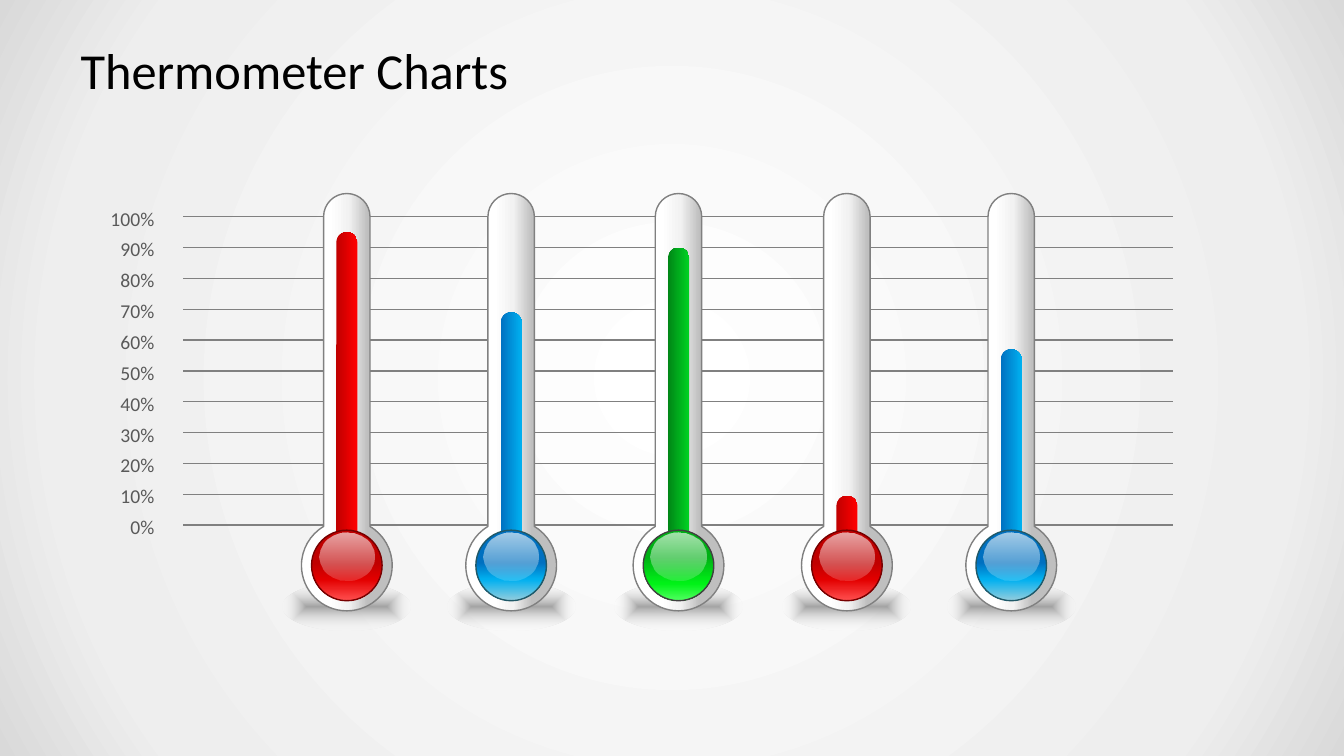
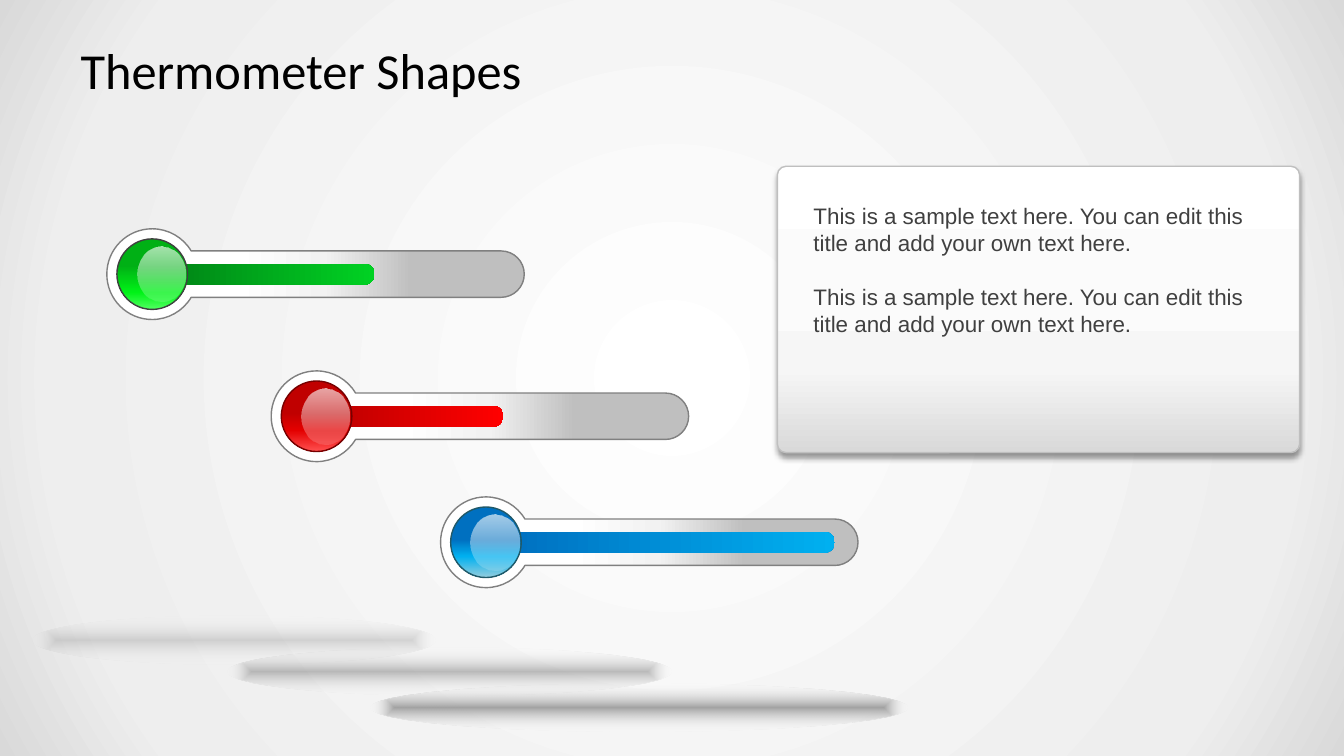
import itertools
import math

from lxml import etree
from pptx import Presentation, util as u
from pptx.dml.color import RGBColor
from pptx.enum import shapes as kinds, text
from pptx.oxml.ns import qn

Inches = u.Inches

COLOURS = {
    "white": "FFFFFF", "mist": "EEEEEE", "silver": "D9D9D9",
    "snow": "FBFBFB", "pearl": "F6F6F6", "glass": "F2F2F2",
    "edge": "BFBFBF", "grey": "808080", "black": "000000",
    "label": "595959", "body": "404040",
    "red dark": "C00000", "red": "FF0000", "red mid": "E30000",
    "red light": "FF4F4F", "red rim": "760000",
    "green dark": "008616", "green": "00D223", "green deep": "00B015",
    "green mid": "00F217", "green light": "4FFF60",
    "blue dark": "0070C0", "blue": "00B0F0", "blue light": "93CDDD",
    "blue rim": "215968",
}

# Gradient stops: position in percent, colour, opacity in percent
PAGE = [(0, "white", 100), (81, "mist", 100), (100, "silver", 100)]
CARD = [(0, "white", 100), (44, "snow", 100), (71, "pearl", 100), (100, "silver", 100)]
GLASS = [(31, "white", 100), (52, "glass", 100), (73, "edge", 100)]
GLOSS = [(0, "white", 65), (100, "white", 15)]

LIQUIDS = {
    "red": {
        "bar": [(0, "red dark", 100), (100, "red", 100)],
        "bulb": [(46, "red dark", 100), (70, "red mid", 100), (100, "red light", 100)],
        "rim": "red rim",
    },
    "green": {
        "bar": [(0, "green dark", 100), (100, "green", 100)],
        "bulb": [(38, "green deep", 100), (76, "green mid", 100), (100, "green light", 100)],
        "rim": "body",
    },
    "blue": {
        "bar": [(0, "blue dark", 100), (100, "blue", 100)],
        "bulb": [(46, "blue dark", 100), (70, "blue", 100), (100, "blue light", 100)],
        "rim": "blue rim",
    },
}


def paint_gradient(fill, element, stops, direction):
    """Fill with stops; direction is an angle in degrees or the name of a radial form."""
    fill.gradient()
    gradient = next(element.iter(qn("a:gradFill")))
    for child in list(gradient):
        gradient.remove(child)
    stop_list = etree.SubElement(gradient, qn("a:gsLst"))
    for position, colour, opacity in stops:
        stop = etree.SubElement(stop_list, qn("a:gs"), pos=str(position * 1000))
        tint = etree.SubElement(stop, qn("a:srgbClr"), val=COLOURS[colour])
        if opacity < 100:
            etree.SubElement(tint, qn("a:alpha"), val=str(opacity * 1000))
    if isinstance(direction, str):
        radial = etree.SubElement(gradient, qn("a:path"), path=direction)
        etree.SubElement(radial, qn("a:fillToRect"), l="50000", t="50000", r="50000", b="50000")
    else:
        etree.SubElement(gradient, qn("a:lin"), ang=str(direction * 60000), scaled="0")


def add_gradient_shape(shapes, kind, centre, size, stops, direction, outline=None):
    (x, y), (width, height) = centre, size
    shape = shapes.add_shape(kind, Inches(x - width / 2), Inches(y - height / 2),
                             Inches(width), Inches(height))
    shape.shadow.inherit = False
    paint_gradient(shape.fill, shape.element, stops, direction)
    if outline:
        shape.line.color.rgb = RGBColor.from_string(COLOURS[outline])
        shape.line.width = u.Pt(1)
    else:
        shape.line.fill.background()
    return shape


OVAL = kinds.MSO_SHAPE.OVAL
ROUNDED = kinds.MSO_SHAPE.ROUNDED_RECTANGLE

presentation = Presentation()
presentation.slide_width = Inches(13.33)
presentation.slide_height = Inches(7.5)
master = presentation.slide_master
paint_gradient(master.background.fill, master.element, PAGE, "circle")

slides = []
for title in ["Thermometer Charts", "Thermometer Shapes"]:
    slide = presentation.slides.add_slide(presentation.slide_layouts[6])
    slides.append(slide)
    frame = slide.shapes.add_textbox(Inches(0.67), Inches(0.3), Inches(12), Inches(0.78)).text_frame
    frame.word_wrap = True
    frame.vertical_anchor = text.MSO_ANCHOR.MIDDLE
    frame.margin_left = frame.margin_right = Inches(0.13)
    frame.margin_top = frame.margin_bottom = Inches(0.07)
    frame.text = title
    font = frame.paragraphs[0].runs[0].font
    font.name, font.size = "Calibri", u.Pt(36)
    font.color.rgb = RGBColor.from_string(COLOURS["black"])
chart_slide, shapes_slide = slides

# Scale with grid lines, from 100% down to 0%
SCALE_TOP, SCALE_BOTTOM = 2.15, 5.21
for step in range(11):
    y = SCALE_TOP + step * (SCALE_BOTTOM - SCALE_TOP) / 10
    line = chart_slide.shapes.add_connector(
        kinds.MSO_CONNECTOR.STRAIGHT, Inches(11.63), Inches(y), Inches(1.82), Inches(y))
    line.line.color.rgb = RGBColor.from_string(COLOURS["grey"])
    line.line.width = u.Pt(1)
    etree.SubElement(line.element.spPr, qn("a:effectLst"))

    frame = chart_slide.shapes.add_textbox(
        Inches(0.99), Inches(y - 0.15), Inches(0.64), Inches(0.34)).text_frame
    frame.word_wrap = False
    frame.text = f"{100 - 10 * step}%"
    paragraph = frame.paragraphs[0]
    paragraph.alignment = text.PP_ALIGN.RIGHT
    font = paragraph.runs[0].font
    font.name, font.size = "Calibri", u.Pt(14)
    font.color.rgb = RGBColor.from_string(COLOURS["label"])

# Text card
card = add_gradient_shape(shapes_slide.shapes, ROUNDED, (10.3, 3.07), (5.18, 2.84), CARD, 90, "edge")
card.adjustments[0] = 0.03
effects = next(card.element.iter(qn("a:effectLst")))
shadow = etree.SubElement(effects, qn("a:outerShdw"), blurRad=str(u.Pt(4)), dist=str(u.Pt(3)),
                          dir="5400000", algn="t", rotWithShape="0")
shade = etree.SubElement(shadow, qn("a:srgbClr"), val=COLOURS["black"])
etree.SubElement(shade, qn("a:alpha"), val="40000")

frame = shapes_slide.shapes.add_textbox(
    Inches(7.97), Inches(1.96), Inches(4.66), Inches(2.26)).text_frame
frame.word_wrap = True
sample = "This is a sample text here. You can edit this title and add your own text here."
frame.text = "\n".join([sample] * 2)
frame.paragraphs[1].space_before = u.Pt(19)
for paragraph in frame.paragraphs:
    font = paragraph.runs[0].font
    font.name, font.size = "Arial", u.Pt(16)
    font.color.rgb = RGBColor.from_string(COLOURS["body"])

# Thermometers: slide, bulb centre, liquid, reading, upright
thermometers = [
    (chart_slide, 3.44, 5.61, "red", 0.95, True),
    (chart_slide, 5.07, 5.61, "blue", 0.69, True),
    (chart_slide, 6.73, 5.61, "green", 0.9, True),
    (chart_slide, 8.4, 5.61, "red", 0.095, True),
    (chart_slide, 10.03, 5.61, "blue", 0.57, True),
    (shapes_slide, 1.51, 2.72, "green", 0.59, False),
    (shapes_slide, 3.14, 4.13, "red", 0.475, False),
    (shapes_slide, 4.82, 5.38, "blue", 1, False),
]

# Glass outline as strokes of (along, across) offsets from the bulb centre:
# one point is a straight line, three are a curve with two control points
BULB_RADIUS, TUBE_RADIUS, TUBE_LENGTH = 0.45, 0.23, 3.46
neck = math.degrees(math.asin(TUBE_RADIUS / BULB_RADIUS))
outline = []
for radius, offset, corners in [(TUBE_RADIUS, TUBE_LENGTH, (-90, 0, 90)),
                                (BULB_RADIUS, 0, (neck, 90, 180, 270, 360 - neck))]:
    corners = [math.radians(corner) for corner in corners]
    arcs = [[(corners[0], 0)]]
    for start, end in itertools.pairwise(corners):
        pull = 4 / 3 * math.tan((end - start) / 4)
        arcs.append([(start, pull), (end, -pull), (end, 0)])
    for arc in arcs:
        outline.append([(offset + radius * (math.cos(angle) - pull * math.sin(angle)),
                         radius * (math.sin(angle) + pull * math.cos(angle)))
                        for angle, pull in arc])

BAR_START, ZERO_MARK = 0.2, 0.4
for slide, x, y, liquid, reading, upright in thermometers:
    parts = slide.shapes.add_group_shape().shapes
    look = LIQUIDS[liquid]
    if upright:
        add_gradient_shape(parts, OVAL, (x, 6.02), (1.27, 0.48),
                           [(0, "grey", 70), (100, "white", 0)], "shape")

    strokes = [[(Inches(x + across), Inches(y - along)) if upright
                else (Inches(x + along), Inches(y + across)) for along, across in stroke]
               for stroke in outline]
    first, *others = strokes
    builder = parts.build_freeform(*first[0])
    builder.add_line_segments([stroke[-1] for stroke in others], close=True)
    glass = builder.convert_to_shape()
    for segment, stroke in zip(list(glass.element.iter(qn("a:lnTo"))), others):
        if len(stroke) == 3:
            curve = etree.Element(qn("a:cubicBezTo"))
            for left, top in stroke:
                etree.SubElement(curve, qn("a:pt"), x=str(left - glass.left), y=str(top - glass.top))
            segment.getparent().replace(segment, curve)
    glass.shadow.inherit = False
    paint_gradient(glass.fill, glass.element, GLASS, 0)
    glass.line.color.rgb = RGBColor.from_string(COLOURS["grey"])
    glass.line.width = u.Pt(1)

    bar_end = ZERO_MARK + reading * (SCALE_BOTTOM - SCALE_TOP)
    middle, length = (BAR_START + bar_end) / 2, bar_end - BAR_START
    if upright:
        bar_centre, bar_size = (x, y - middle), (0.21, length)
        gloss_centre, gloss_size = (x, y - 0.09), (0.55, 0.48)
    else:
        bar_centre, bar_size = (x + middle, y), (length, 0.21)
        gloss_centre, gloss_size = (x + 0.09, y), (0.48, 0.55)
    bar = add_gradient_shape(parts, ROUNDED, bar_centre, bar_size, look["bar"], 0)
    bar.adjustments[0] = 0.5
    add_gradient_shape(parts, OVAL, (x, y), (0.7, 0.7), look["bulb"], 90, look["rim"])
    add_gradient_shape(parts, OVAL, gloss_centre, gloss_size, GLOSS, 90)

# Floor shadows below the lying thermometers
for x, y, width, opacity in [(6.34, 7.02, 5.32, 70), (4.46, 6.66, 4.4, 51), (2.32, 6.35, 4, 29)]:
    add_gradient_shape(shapes_slide.shapes, OVAL, (x, y), (width, 0.48),
                       [(0, "grey", opacity), (100, "white", 0)], "shape")

presentation.save("out.pptx")
